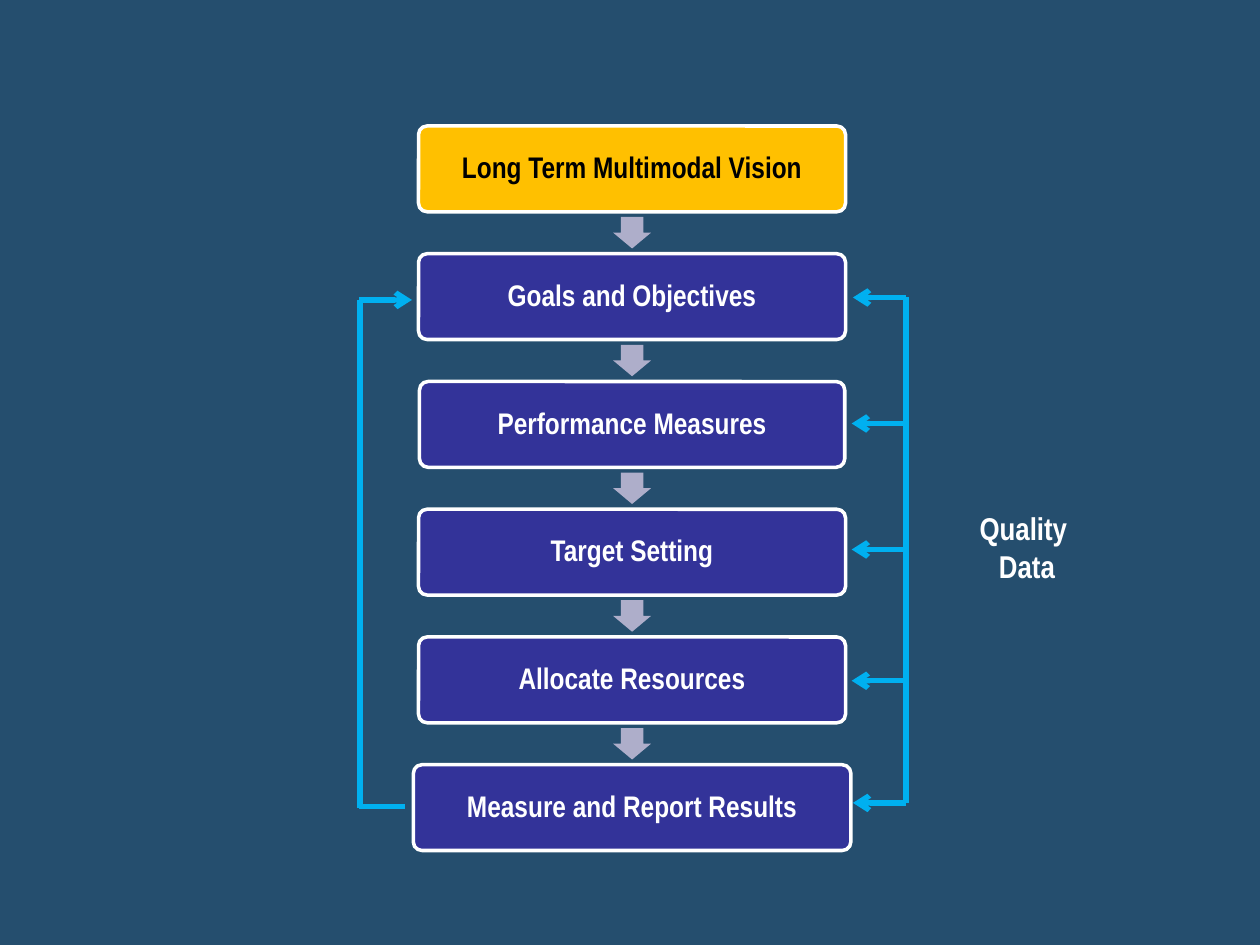
from lxml.etree import SubElement
from pptx import Presentation
from pptx.dml.color import RGBColor
from pptx.enum.shapes import MSO_CONNECTOR as Link, MSO_SHAPE as Kind
from pptx.enum.text import MSO_ANCHOR as Anchor, MSO_AUTO_SIZE as Fit, PP_ALIGN as Align
from pptx.oxml.ns import qn
from pptx.util import Pt

BACK, WHITE, BLACK = "254E6E", "FFFFFF", "000000"
GOLD, NAVY, GREY, CYAN = "FFC000", "333399", "AEAECA", "00B0F0"
STEPS = [
    ("Long Term Multimodal Vision", GOLD, BLACK, 244),
    ("Goals and Objectives", NAVY, WHITE, 244),
    ("Performance Measures", NAVY, WHITE, 243),
    ("Target Setting", NAVY, WHITE, 244),
    ("Allocate Resources", NAVY, WHITE, 244),
    ("Measure and Report Results", NAVY, WHITE, 250),
]


def rgb(code):
    """Turn a hex string into a colour."""
    return RGBColor.from_string(code)


def add_run(para, text, size, color):
    """Add one bold run to a paragraph."""
    run = para.add_run()
    run.text = text
    font = run.font
    font.name, font.size, font.bold = "Arial Narrow", Pt(size), True
    font.color.rgb = rgb(color)


def add_form(slide, kind, mid, top, width, height, fill):
    """Add a filled shape centred on mid."""
    form = slide.shapes.add_shape(
        kind, Pt(mid - width / 2), Pt(top), Pt(width), Pt(height))
    form.shadow.inherit = False
    form.fill.solid()
    form.fill.fore_color.rgb = rgb(fill)
    return form


def add_line(slide, x1, y1, x2, y2, head=False):
    """Add a cyan line, with an arrowhead at its end if asked."""
    line = slide.shapes.add_connector(Link.STRAIGHT, Pt(x1), Pt(y1), Pt(x2), Pt(y2))
    line.line.color.rgb = rgb(CYAN)
    line.line.width = Pt(3)
    if head:
        SubElement(line.line._get_or_add_ln(), qn("a:tailEnd"), type="arrow")
    SubElement(line._element.spPr, qn("a:effectLst"))


def add_step(slide, mid, top, width, height, text, fill, color):
    """Add one rounded box with its label."""
    box = add_form(slide, Kind.ROUNDED_RECTANGLE, mid, top, width, height, fill)
    box.adjustments[0] = 0.1
    box.line.color.rgb = rgb(WHITE)
    box.line.width = Pt(2)
    frame = box.text_frame
    frame.word_wrap = True
    frame.vertical_anchor = Anchor.MIDDLE
    frame.margin_left = frame.margin_right = Pt(5)
    frame.margin_top = frame.margin_bottom = Pt(5)
    para = frame.paragraphs[0]
    para.alignment = Align.CENTER
    para.line_spacing = 0.9
    add_run(para, text, 17, color)


def add_flow(slide, mid, top, height, pitch):
    """Stack the steps with a down arrow in each gap."""
    wide, tall = 18, 21.6
    for row, (text, fill, color, width) in enumerate(STEPS):
        y = top + row * pitch
        if row:
            gap = y - (pitch - height) / 2
            arrow = add_form(slide, Kind.RIGHT_ARROW, mid, gap - tall / 2, wide, tall, GREY)
            arrow.rotation = 90
            arrow.adjustments[0] = 0.6
            arrow.line.fill.background()
        add_step(slide, mid, y, width, height, text, fill, color)


def add_loop(slide, left, top, width, height):
    """Draw the feedback path from the last step to the goals."""
    base = top + height
    add_line(slide, left + width - 4, base, left, base)
    add_line(slide, left + 0.5, base + 1, left + 0.5, top)
    add_line(slide, left, top, left + width, top, True)


def add_feed(slide, left, top, width, height):
    """Draw the data trunk with an arrow to each step below the vision."""
    right = left + width
    add_line(slide, right, top + height, right, top)
    for drop, shift in ((0, 0), (72, -0.7), (144, -0.7), (219, -0.7), (height, 0)):
        add_line(slide, right + shift, top + drop, left + shift, top + drop, True)


def add_note(slide, left, top, width, height):
    """Add the two-line label beside the data trunk."""
    frame = slide.shapes.add_textbox(Pt(left), Pt(top), Pt(width), Pt(height)).text_frame
    frame.word_wrap = True
    frame.auto_size = Fit.SHAPE_TO_FIT_TEXT
    para = frame.paragraphs[0]
    para.alignment = Align.CENTER
    add_run(para, "Quality ", 18, WHITE)
    para.add_line_break()
    add_run(para, "Data", 18, WHITE)


def main():
    """Build and save the slide."""
    deck = Presentation()
    deck.slide_width, deck.slide_height = Pt(720), Pt(540)
    slide = deck.slides.add_slide(deck.slide_layouts[6])
    slide.background.fill.solid()
    slide.background.fill.fore_color.rgb = rgb(BACK)
    add_loop(slide, 205.2, 171.4, 30.2, 289.4)
    add_feed(slide, 487.4, 170, 30.3, 288.8)
    add_note(slide, 531.4, 287.3, 110.9, 65.5)
    add_flow(slide, 361.2, 72, 49, 73)
    deck.save("out.pptx")


if __name__ == "__main__":
    main()
